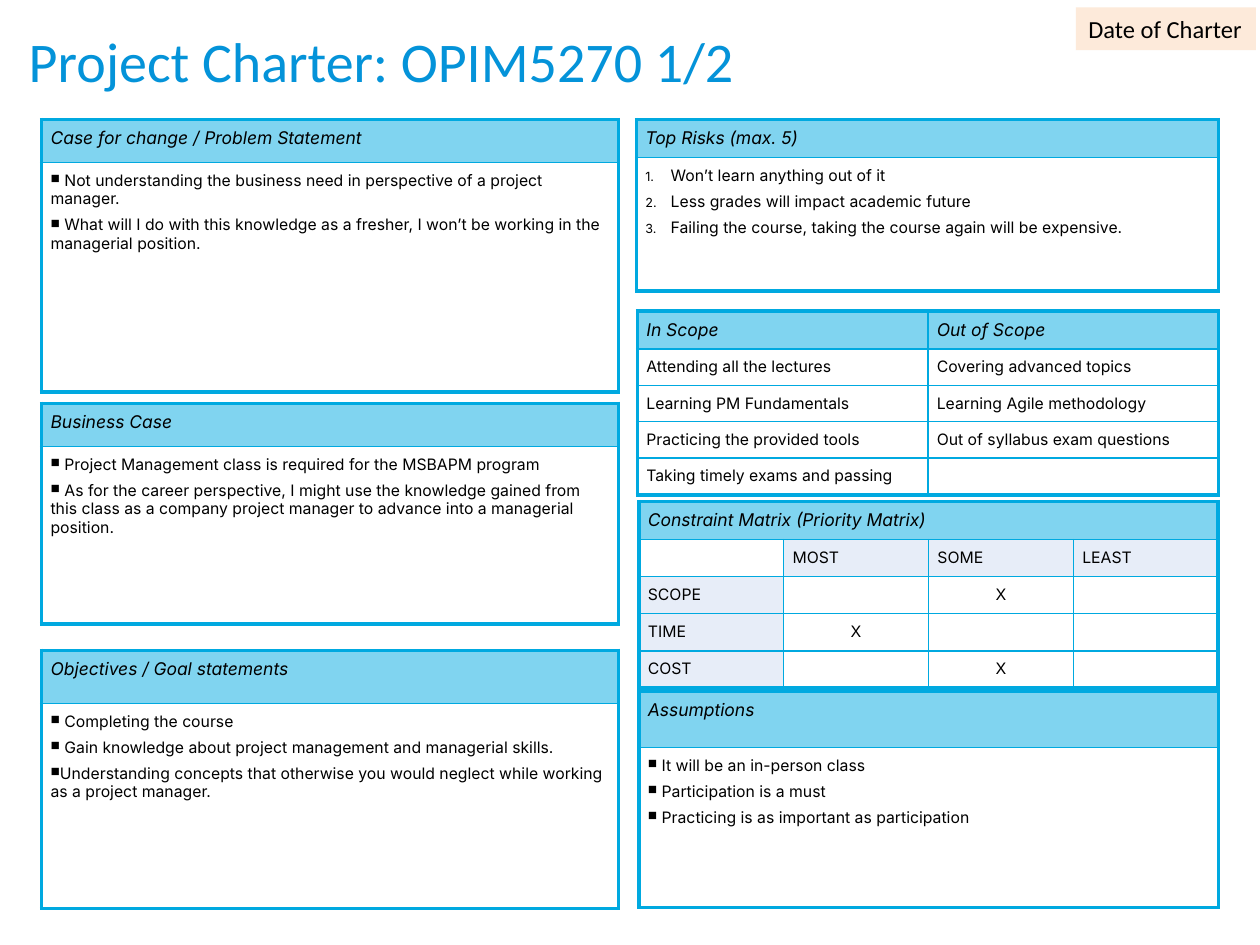
from dataclasses import dataclass
from lxml import etree
from pptx import Presentation
from pptx import util as u
from pptx.dml.color import RGBColor
from pptx.enum import shapes, text
from pptx.oxml.ns import qn

SQUARE, NUMBER = "square", "number"
TITLE = ("Project Charter: OPIM5270 1/2", 0.33, 0.13, 22.86, 2.16)
DATE = ("Date of Charter", 21.69, 0.15, 3.63, 0.86)

CASE = [
    " Not understanding the business need in perspective of a project manager.",
    " What will I do with this knowledge as a fresher, I won’t be working in the managerial position.",
]
BUSINESS = [
    " Project Management class is required for the MSBAPM program",
    " As for the career perspective, I might use the knowledge gained from this class as a company"
    " project manager to advance into a managerial position.",
]
RISKS = [
    "Won’t learn anything out of it",
    "Less grades will impact academic future",
    "Failing the course, taking the course again will be expensive.",
]
OBJECTIVES = [
    " Completing the course",
    " Gain knowledge about project management and managerial skills.",
    "Understanding concepts that otherwise you would neglect while working as a project manager.",
]
ASSUMPTIONS = [
    " It will be an in-person class",
    " Participation is a must",
    " Practicing is as important as participation",
]
SCOPE = [
    ["In Scope", "Out of Scope"],
    ["Attending all the lectures", "Covering advanced topics"],
    ["Learning PM Fundamentals", "Learning Agile methodology"],
    ["Practicing the provided tools", "Out of syllabus exam questions"],
    ["Taking timely exams and passing", ""],
]
CONSTRAINTS = [
    ["Constraint Matrix (Priority Matrix)", "", "", ""],
    ["", "MOST", "SOME", "LEAST"],
    ["SCOPE", "", "X", ""],
    ["TIME", "X", "", ""],
    ["COST", "", "X", ""],
]

LEFT, LEFT_END, RIGHT_END = 0.84, 12.47, 24.56


def panel(heading, items):
    return [[heading], [items]]


TABLES = [
    (panel("Case for change / Problem Statement", CASE), LEFT, LEFT_END, 2.41, [0.87, 4.62], SQUARE),
    (panel("Business Case", BUSINESS), LEFT, LEFT_END, 8.13, [0.87, 3.58], SQUARE),
    (SCOPE, 12.85, RIGHT_END, 6.27, [0.73] * 5, None),
    (CONSTRAINTS, 12.88, RIGHT_END, 10.11, [0.74] * 5, None),
    (panel("Top Risks (max. 5)", RISKS), 12.83, RIGHT_END, 2.41, [0.76, 2.69], NUMBER),
    (panel("Objectives / Goal statements", OBJECTIVES), LEFT, LEFT_END, 13.11, [1.07, 4.14], SQUARE),
    (panel("Assumptions", ASSUMPTIONS), 12.88, RIGHT_END, 13.94, [1.13, 3.23], SQUARE),
]


@dataclass(frozen=True)
class Theme:
    line: str = "00A9E0"
    header: str = "80D4F0"
    label: str = "E7EDF8"
    date: str = "FDEADA"
    title: str = "0493D9"
    ink: str = "000000"
    body_font: str = "Inter"
    title_font: str = "Calibri"
    title_size: float = 32
    date_size: float = 14
    header_size: float = 10
    body_size: float = 9
    outer: float = 2.25
    inner: float = 1
    inset: float = 0.18


theme = Theme()


def child(parent, tag, **attributes):
    return etree.SubElement(parent, qn(tag), **attributes)


def style(span, font, size, color, italic=False):
    span.font.name = font
    span.font.size = u.Pt(size)
    span.font.italic = italic
    span.font.color.rgb = RGBColor.from_string(color)


def add_borders(cell, widths):
    properties = cell._tc.get_or_add_tcPr()
    for side, width in zip("LRTB", widths):
        line = child(properties, f"a:ln{side}", w=str(u.Pt(width)))
        child(child(line, "a:solidFill"), "a:srgbClr", val=theme.line)


def set_paragraph(para, header, marker):
    para.line_spacing = 0.96
    properties = para._p.get_or_add_pPr()
    child(child(properties, "a:spcBef"), "a:spcPct", val="50000")
    if marker:
        child(properties, "a:buSzPct", val="80000")
    if marker == SQUARE:
        child(properties, "a:buChar", char="■")
    elif marker == NUMBER:
        properties.set("marL", str(u.Cm(0.51)))
        properties.set("indent", str(-u.Cm(0.51)))
        child(properties, "a:buAutoNum", type="arabicPeriod")
    size = theme.header_size if header else theme.body_size
    for span in para.runs:
        style(span, theme.body_font, size, theme.ink, header)
    if not para.runs:
        child(para._p, "a:endParaRPr", sz=str(int(size * 100)))


def fill_cell(cell, content, header, label, marker):
    cell.margin_left = cell.margin_right = u.Cm(theme.inset)
    cell.margin_top = cell.margin_bottom = u.Cm(theme.inset)
    cell.text_frame.text = content if isinstance(content, str) else "\n".join(content)
    for para in cell.text_frame.paragraphs:
        set_paragraph(para, header, None if header else marker)
        if content == "X":
            para.alignment = text.PP_ALIGN.CENTER
    if header or label:
        cell.fill.solid()
        cell.fill.fore_color.rgb = RGBColor.from_string(theme.header if header else theme.label)
    else:
        cell.fill.background()


def add_grid(page, rows, left, right, top, heights, marker):
    row_count, column_count = len(rows), len(rows[0])
    frame = page.shapes.add_table(row_count, column_count, u.Cm(left), u.Cm(top),
                                  u.Cm(right - left), u.Cm(sum(heights)))
    table = frame.table
    table.first_row = table.horz_banding = False
    for row, height in zip(table.rows, heights):
        row.height = u.Cm(height)
    if rows is CONSTRAINTS:
        table.cell(0, 0).merge(table.cell(0, column_count - 1))
    for r, row in enumerate(rows):
        for c, content in enumerate(row):
            cell = table.cell(r, c)
            last = c + (cell.span_width if cell.is_merge_origin else 1)
            edges = (c == 0, last == column_count, r == 0, r == row_count - 1)
            add_borders(cell, [theme.outer if edge else theme.inner for edge in edges])
            label = rows is CONSTRAINTS and content not in ("", "X")
            fill_cell(cell, content, r == 0, label, marker)


def set_label(box, words, size, color):
    box.text_frame.text = words
    para = box.text_frame.paragraphs[0]
    para.alignment = text.PP_ALIGN.LEFT
    style(para.runs[0], theme.title_font, size, color)


def main():
    deck = Presentation()
    deck.slide_width, deck.slide_height = u.Cm(25.4), u.Cm(19.05)
    page = deck.slides.add_slide(deck.slide_layouts[6])
    for grid in TABLES:
        add_grid(page, *grid)

    words, *place = DATE
    date = page.shapes.add_shape(shapes.MSO_SHAPE.RECTANGLE, *map(u.Cm, place))
    date.shadow.inherit = False
    date.fill.solid()
    date.fill.fore_color.rgb = RGBColor.from_string(theme.date)
    date.line.fill.background()
    date.text_frame.word_wrap = False
    date.text_frame.auto_size = text.MSO_AUTO_SIZE.SHAPE_TO_FIT_TEXT
    set_label(date, words, theme.date_size, theme.ink)

    words, *place = TITLE
    title = page.shapes.add_textbox(*map(u.Cm, place))
    title.text_frame.word_wrap = True
    title.text_frame.vertical_anchor = text.MSO_ANCHOR.MIDDLE
    set_label(title, words, theme.title_size, theme.title)
    deck.save("out.pptx")


if __name__ == "__main__":
    main()
